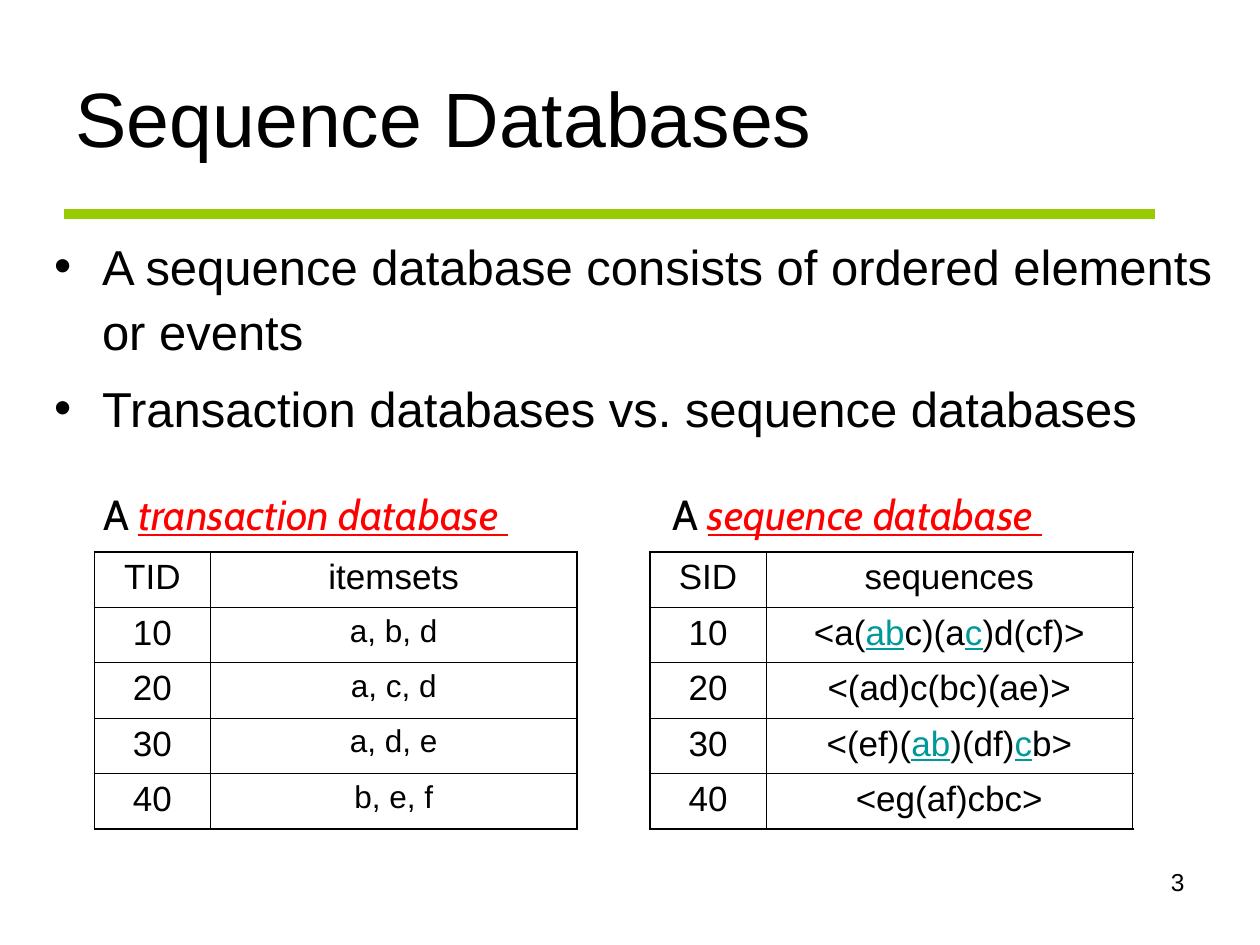
from pptx import Presentation, util as u
from pptx.dml.color import RGBColor
from pptx.enum import shapes, text
from pptx.oxml.ns import qn
from lxml import etree

BLACK, RED, TEAL, GREEN = "000000", "FF0000", "009999", "99CC00"
LEFT, MID, RIGHT = text.PP_ALIGN.LEFT, text.PP_ALIGN.CENTER, text.PP_ALIGN.RIGHT
THIN, THICK = 0.45, 1.08


def rgb(code):
    return RGBColor.from_string(code)


def write(frame, words, size=20, font="Arial", align=LEFT, before=0,
          lines=None, mark=TEAL, italic=False, bullet=False):
    """Each line is a paragraph; parts between underscores are marked."""
    for i, line in enumerate(words.split("\n")):
        para = frame.add_paragraph() if i else frame.paragraphs[0]
        para.alignment = align
        para.space_before = u.Pt(before)
        if lines:
            para.line_spacing = lines
        if bullet:
            add_bullet(para)
        for j, part in enumerate(line.split("_")):
            if not part:
                continue
            run = para.add_run()
            run.text = part
            run.font.size = u.Pt(size)
            run.font.name = font
            marked = j % 2 == 1
            run.font.color.rgb = rgb(mark if marked else BLACK)
            if marked:
                run.font.underline = True
                run.font.italic = italic


def add_bullet(para):
    props = para._p.get_or_add_pPr()
    props.set("marL", str(u.Inches(0.38)))
    props.set("indent", str(-u.Inches(0.38)))
    color = etree.SubElement(props, qn("a:buClr"))
    etree.SubElement(color, qn("a:srgbClr"), val=BLACK)
    etree.SubElement(props, qn("a:buFont"), typeface="Arial")
    etree.SubElement(props, qn("a:buChar"), char="•")


def place(shape, x, y, w, h):
    shape.left, shape.top = u.Inches(x), u.Inches(y)
    shape.width, shape.height = u.Inches(w), u.Inches(h)


def fill_holder(shape, box, words, anchor, **style):
    place(shape, *box)
    frame = shape.text_frame
    frame.auto_size = text.MSO_AUTO_SIZE.NONE
    frame.vertical_anchor = anchor
    write(frame, words, **style)


def add_label(slide, box, words, wrap=True, **style):
    frame = slide.shapes.add_textbox(*map(u.Inches, box)).text_frame
    frame.word_wrap = wrap
    if not wrap:
        frame.auto_size = text.MSO_AUTO_SIZE.SHAPE_TO_FIT_TEXT
    write(frame, words, **style)


def add_rule(slide, x1, x2, y):
    line = slide.shapes.add_connector(
        shapes.MSO_CONNECTOR.STRAIGHT, *map(u.Inches, (x1, y, x2, y)))
    line.line.color.rgb = rgb(GREEN)
    line.line.width = u.Pt(6)
    etree.SubElement(line._element.spPr, qn("a:effectLst"))


def set_edges(cell, widths):
    props = cell._tc.get_or_add_tcPr()
    for i, (side, width) in enumerate(zip("LRTB", widths)):
        edge = etree.Element(qn("a:ln" + side), w=str(u.Pt(width)))
        paint = etree.SubElement(edge, qn("a:solidFill"))
        etree.SubElement(paint, qn("a:srgbClr"), val=BLACK)
        props.insert(i, edge)


def add_grid(slide, x, y, rows, size):
    """Two-column table; size is the text size of the second column."""
    widths, high = (0.92, 2.91), 0.44
    last = len(rows) - 1
    table = slide.shapes.add_table(
        len(rows), 2, u.Inches(x), u.Inches(y),
        u.Inches(sum(widths)), u.Inches(high * len(rows))).table
    table.first_row = table.horz_banding = False
    for col, width in zip(table.columns, widths):
        col.width = u.Inches(width)
    for r, row in enumerate(rows):
        table.rows[r].height = u.Inches(high)
        for c, words in enumerate(row):
            cell = table.cell(r, c)
            cell.fill.background()
            pts = size if r and c else 20
            write(cell.text_frame, words, size=pts, align=MID, before=pts / 4)
            outer = (c == 0, c == 1, r == 0, r == last)
            set_edges(cell, [THICK if o else THIN for o in outer])


def main():
    deck = Presentation()
    deck.slide_width, deck.slide_height = u.Inches(10), u.Inches(7.5)
    slide = deck.slides.add_slide(deck.slide_layouts[1])

    # Heading and bullets
    add_rule(slide, 0.51, 9.17, 1.7)
    fill_holder(slide.shapes.title, (0.5, 0.3, 8.97, 1.25),
                "Sequence Databases", text.MSO_ANCHOR.MIDDLE, size=44)
    fill_holder(slide.placeholders[1], (0.33, 1.78, 9.5, 4.88),
                "A sequence database consists of ordered elements or events\n"
                "Transaction databases vs. sequence databases",
                text.MSO_ANCHOR.TOP, size=28, before=7, lines=1.1, bullet=True)

    # Captioned tables
    trans = [("TID", "itemsets"), ("10", "a, b, d"), ("20", "a, c, d"),
             ("30", "a, d, e"), ("40", "b, e, f")]
    seqs = [("SID", "sequences"), ("10", "<a(_ab_c)(a_c_)d(cf)>"),
            ("20", "<(ad)c(bc)(ae)>"), ("30", "<(ef)(_ab_)(df)_c_b>"),
            ("40", "<eg(af)cbc>")]
    for name, left, wide, x, rows, size in (
            ("sequence", 5.24, 3.42, 5.16, seqs, 20),
            ("transaction", 0.72, 3.73, 0.75, trans, 18)):
        add_label(slide, (left, 3.83, wide, 0.5), f"A _{name} database _",
                  wrap=False, size=24, font="Cabin", mark=RED, italic=True)
        add_grid(slide, x, 4.38, rows, size)

    # Slide number
    add_label(slide, (7.17, 6.83, 2.33, 0.52), "3", size=14, align=RIGHT)
    deck.save("out.pptx")


if __name__ == "__main__":
    main()
